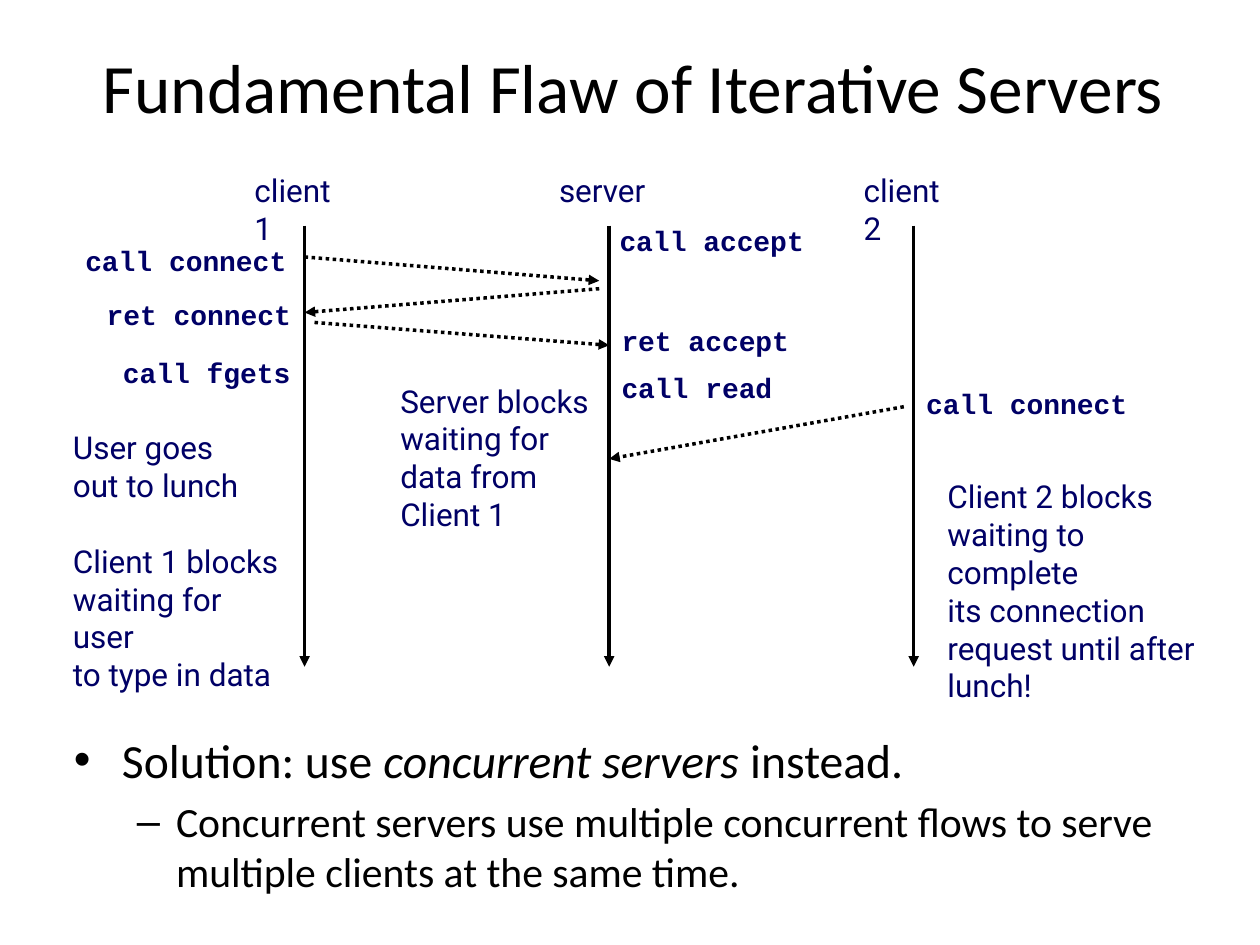
from lxml.etree import SubElement
from pptx import Presentation
from pptx.dml.color import RGBColor
from pptx.enum.dml import MSO_LINE
from pptx.enum.shapes import MSO_CONNECTOR
from pptx.enum.text import MSO_ANCHOR, MSO_AUTO_SIZE, PP_ALIGN
from pptx.oxml.ns import qn
from pptx.util import Cm, Pt

HUES = {"ink": "000000", "navy": "000066"}


class Board:
    """Holds the slide and the style of its parts."""

    def __init__(self, slide):
        self.slide = slide

    def style(self, run, size, font, hue, bold=False):
        face = run.font
        face.size, face.name, face.bold = Pt(size), font, bold
        face.color.rgb = RGBColor.from_string(HUES[hue])

    def frame(self, left, top, width, height, wrap=True):
        box = self.slide.shapes.add_textbox(Cm(left), Cm(top), Cm(width), Cm(height))
        box.text_frame.word_wrap = wrap
        return box.text_frame

    def title(self, text, *spot):
        frame = self.frame(*spot)
        frame.text = text
        frame.vertical_anchor = MSO_ANCHOR.MIDDLE
        para = frame.paragraphs[0]
        para.alignment = PP_ALIGN.CENTER
        self.style(para.runs[0], 39.6, "Calibri", "ink")

    def note(self, text, *spot):
        frame = self.frame(*spot)
        frame.text = text
        frame.auto_size = MSO_AUTO_SIZE.SHAPE_TO_FIT_TEXT
        for para in frame.paragraphs:
            self.style(para.runs[0], 18, "Roboto", "navy")
        return frame

    def code(self, text, left, top):
        frame = self.frame(left, top, 0.51 + 0.34 * len(text), 0.94, False)
        frame.text = text
        frame.auto_size = MSO_AUTO_SIZE.SHAPE_TO_FIT_TEXT
        self.style(frame.paragraphs[0].runs[0], 16, "Courier New", "navy", True)

    def arrow(self, x1, y1, x2, y2, dash=None):
        link = self.slide.shapes.add_connector(
            MSO_CONNECTOR.STRAIGHT, Cm(x1), Cm(y1), Cm(x2), Cm(y2))
        link.line.width = Pt(2)
        link.line.color.rgb = RGBColor.from_string(HUES["ink"])
        link.line.dash_style = dash
        SubElement(link.line._get_or_add_ln(), qn("a:tailEnd"), type="triangle")
        SubElement(link._element.spPr, qn("a:effectLst"))

    def points(self, items, *spot):
        frame = self.frame(*spot)
        for i, (mark, size, left, hang, parts) in enumerate(items):
            para = frame.add_paragraph() if i else frame.paragraphs[0]
            para.level = i
            para.space_before = Pt(size * 0.2)
            props = para._p.get_or_add_pPr()
            props.set("marL", str(Cm(left)))
            props.set("indent", str(-Cm(hang)))
            SubElement(props, qn("a:buFont"), typeface="Arial")
            SubElement(props, qn("a:buChar"), char=mark)
            for text, slant in parts:
                run = para.add_run()
                run.text = text
                self.style(run, size, "Calibri", "ink")
                run.font.italic = slant


def main():
    deck = Presentation()
    deck.slide_width, deck.slide_height = Cm(25.4), Cm(19.05)
    board = Board(deck.slides.add_slide(deck.slide_layouts[6]))

    board.title("Fundamental Flaw of Iterative Servers", 0.28, 0.94, 24.97, 1.6)
    board.points([
        ("•", 27.2, 0.97, 0.97, [("Solution: use ", False),
                                 ("concurrent servers ", True),
                                 ("instead.", False)]),
        ("–", 23.8, 2.06, 0.79, [("Concurrent servers use multiple concurrent flows "
                                  "to serve multiple clients at the same time.", False)]),
    ], 1.24, 14.6, 23.52, 3.2)

    one, host, two = (6.14 * n for n in (1, 2, 3))
    for name, x, width in (("client 1", one, 2.5), ("server", host, 2.3),
                           ("client 2", two, 2.5)):
        board.arrow(x, 4.55, x, 13.44)
        board.note(name, x - 1.26, 3.33, width, 1.02)

    gap = 0.2
    for x1, y1, x2, y2 in ((one, 5.18, host - gap, 5.66),
                           (host - gap, 5.82, one, 6.3),
                           (one + gap, 6.5, host, 6.96),
                           (two - gap, 8.2, host, 9.25)):
        board.arrow(x1, y1, x2, y2, MSO_LINE.ROUND_DOT)

    for text, left, top in (("call connect", 1.47, 4.78), ("ret connect", 1.9, 5.87),
                            ("call fgets", 2.23, 7.04), ("call accept", 12.24, 4.39),
                            ("ret accept", host, 6.4), ("call read", host, 7.34),
                            ("call connect", two, 7.67)):
        board.code(text, left, top)

    lunch = board.note("User goes\nout to lunch\nClient 1 blocks\nwaiting for user\n"
                       "to type in data", 1.22, 8.51, 4.8, 4.83)
    lunch.paragraphs[2].space_before = Pt(21.6)
    board.note("Server blocks\nwaiting for\ndata from\nClient 1", 7.82, 7.57, 4.37, 3.3)
    board.note("Client 2 blocks\nwaiting to complete\nits connection\n"
               "request until after\nlunch!", 18.85, 9.5, 5.9, 4.06)
    deck.save("out.pptx")


if __name__ == "__main__":
    main()
